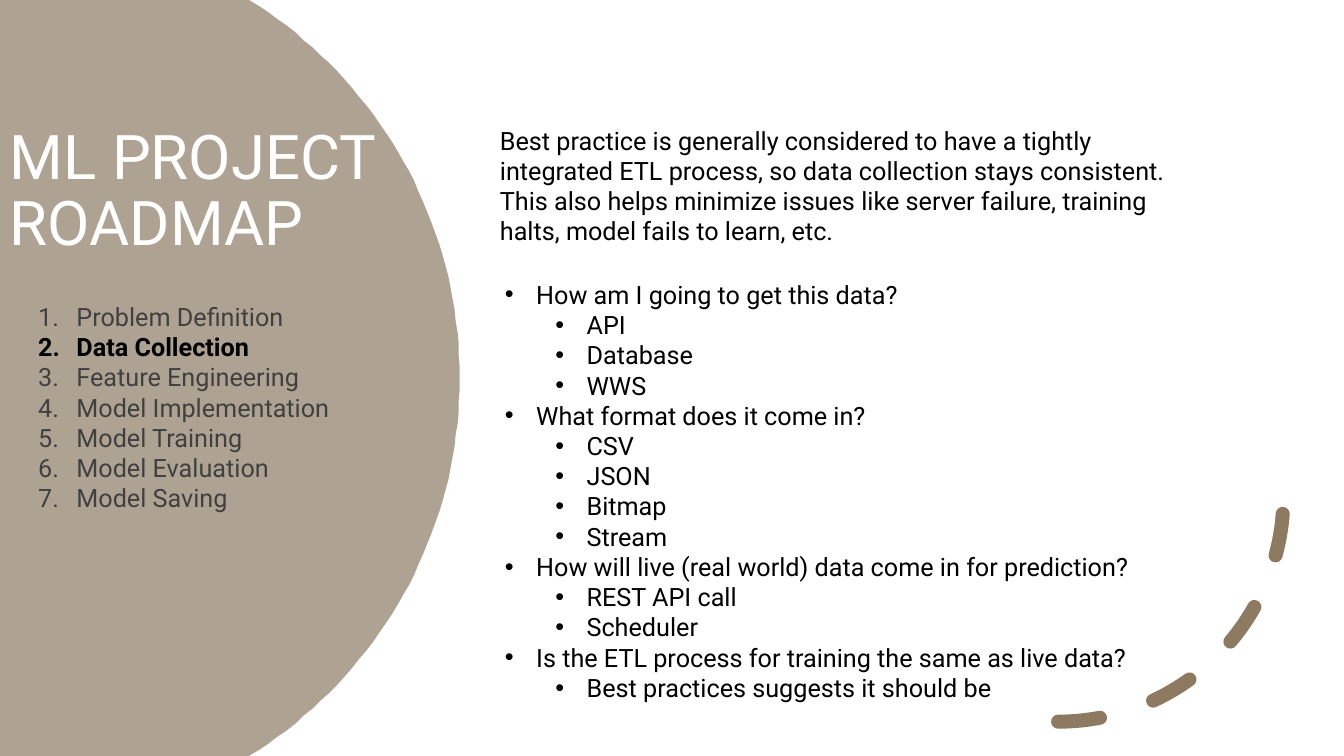
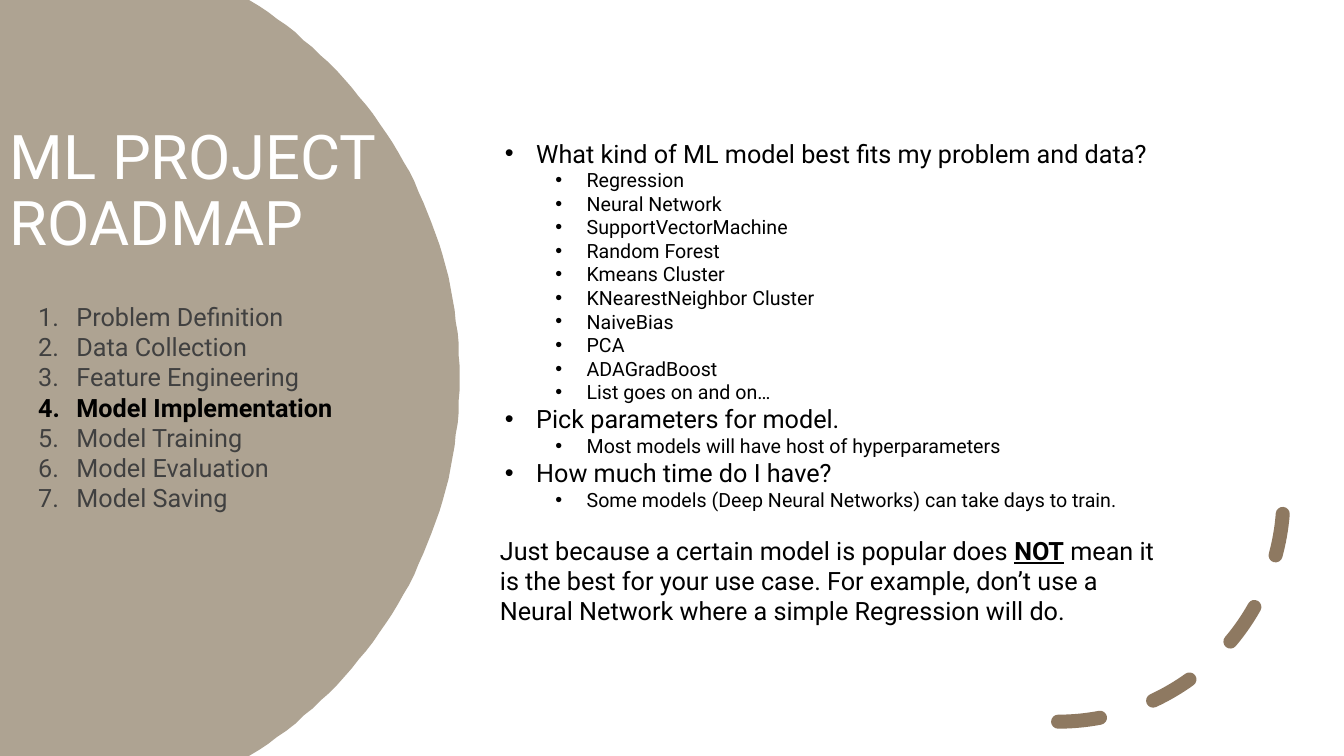
from math import asin, cos, sin

from lxml import etree
from pptx import Presentation
from pptx.dml.color import RGBColor
from pptx.enum.dml import MSO_LINE
from pptx.enum.shapes import MSO_SHAPE
from pptx.enum.text import MSO_ANCHOR
from pptx.oxml.ns import qn
from pptx.util import Pt

PX = 9144  # 100 px to the inch
FONT = "Roboto"
WHITE = RGBColor(0xFF, 0xFF, 0xFF)
BLACK = RGBColor(0, 0, 0)
GREY = RGBColor(0x40, 0x40, 0x40)
SAND = RGBColor(0xAE, 0xA3, 0x92)
BROWN = RGBColor(0x8E, 0x79, 0x61)
ARC, DASH = MSO_SHAPE.ARC, MSO_LINE.DASH
TOP, MIDDLE = MSO_ANCHOR.TOP, MSO_ANCHOR.MIDDLE

# Shared geometry
WIDTH, HEIGHT = 1333, 750
DISC_X, DISC_Y, DISC_RADIUS = 15, 375, 441
DISC_STEPS = 80
ARC_BOX = (826, 269, 447, 447)
TITLE_BOX = (0, 120, 432, 142)
STEPS_BOX = (28, 294, 357, 283)
STEP_INDENT = 38
BULLET_INDENT, LEVEL_INDENT = 31, 50

# Content
TITLE = "ML PROJECT ROADMAP"
STEPS = ["Problem Definition", "Data Collection", "Feature Engineering",
         "Model Implementation", "Model Training", "Model Evaluation",
         "Model Saving"]
PAGES = [
    {
        "step": "Data Collection",
        "questions_box": (491, 272, 668, 434),
        "answer_size": 18,
        "questions": [
            ("How am I going to get this data?", ["API", "Database", "WWS"]),
            ("What format does it come in?",
             ["CSV", "JSON", "Bitmap", "Stream"]),
            ("How will live (real world) data come in for prediction?",
             ["REST API call", "Scheduler"]),
            ("Is the ETL process for training the same as live data?",
             ["Best practices suggests it should be"]),
        ],
        "remark_box": (486, 119, 722, 131),
        "remark": [
            ("Best practice is generally considered to have a tightly "
             "integrated ETL process, so data collection stays consistent. "
             "This also helps minimize issues like server failure, training "
             "halts, model fails to learn, etc.", False),
        ],
    },
    {
        "step": "Model Implementation",
        "questions_box": (491, 132, 668, 407),
        "answer_size": 14,
        "questions": [
            ("What kind of ML model best fits my problem and data?",
             ["Regression", "Neural Network", "SupportVectorMachine",
              "Random Forest", "Kmeans Cluster", "KNearestNeighbor Cluster",
              "NaiveBias", "PCA", "ADAGradBoost", "List goes on and on…"]),
            ("Pick parameters for model.",
             ["Most models will have host of hyperparameters"]),
            ("How much time do I have?",
             ["Some models (Deep Neural Networks) can take days to train."]),
        ],
        "remark_box": (486, 526, 683, 101),
        "remark": [
            ("Just because a certain model is popular does ", False),
            ("NOT", True),
            (" mean it is the best for your use case. For example, don’t use "
             "a Neural Network where a simple Regression will do.", False),
        ],
    },
]


def add_frame(slide, box, anchor=TOP):
    frame = slide.shapes.add_textbox(*[v * PX for v in box]).text_frame
    frame.word_wrap = True
    frame.vertical_anchor = anchor
    return frame


def write(frame, text, size=18, color=BLACK, bold=False, underline=False,
          spacing=None, marker=None, margin=0, hang=0, level=0, inline=False):
    """Add text as a new paragraph, or to the last one when inline."""
    paragraph = frame.paragraphs[-1]
    if paragraph.runs and not inline:
        paragraph = frame.add_paragraph()
    if spacing:
        paragraph.line_spacing = spacing
    if marker:
        paragraph.level = level
        props = paragraph._p.get_or_add_pPr()
        props.set("marL", str(margin * PX))
        props.set("indent", str(-hang * PX))
        if marker == "•":
            etree.SubElement(props, qn("a:buFont"), typeface="Arial")
            etree.SubElement(props, qn("a:buChar"), char=marker)
        else:
            etree.SubElement(props, qn("a:buAutoNum"), type=marker)
    run = paragraph.add_run()
    run.text = text
    run.font.name = FONT
    run.font.size = Pt(size)
    run.font.color.rgb = color
    run.font.bold = bold
    run.font.underline = underline


deck = Presentation()
deck.slide_width, deck.slide_height = WIDTH * PX, HEIGHT * PX

# Disc outline, cut off by the slide's left, top and bottom edges
half_angle = asin(DISC_Y / DISC_RADIUS)
angles = [half_angle * (2 * i / DISC_STEPS - 1) for i in range(DISC_STEPS + 1)]
disc_points = [(DISC_X + DISC_RADIUS * cos(a), DISC_Y + DISC_RADIUS * sin(a))
               for a in angles]

for page in PAGES:
    slide = deck.slides.add_slide(deck.slide_layouts[6])

    # Sand-coloured disc
    outline = slide.shapes.build_freeform(0, 0, scale=PX)
    outline.add_line_segments(disc_points + [(0, HEIGHT)], close=True)
    disc = outline.convert_to_shape()
    disc.shadow.inherit = False
    disc.fill.solid()
    disc.fill.fore_color.rgb = SAND
    disc.line.fill.background()

    # Dashed arc, running from the bottom up to the right
    arc = slide.shapes.add_shape(ARC, *[v * PX for v in ARC_BOX])
    arc.shadow.inherit = False
    arc.fill.background()
    arc.line.color.rgb = BROWN
    arc.line.width = Pt(10)
    arc.line.dash_style = DASH
    arc.line._get_or_add_ln().set("cap", "rnd")
    arc._element.spPr.xfrm.set("flipV", "1")

    # Title
    write(add_frame(slide, TITLE_BOX, MIDDLE), TITLE, size=44, color=WHITE,
          spacing=0.9)

    # Roadmap steps, the current one highlighted
    steps = add_frame(slide, STEPS_BOX)
    for step in STEPS:
        current = step == page["step"]
        write(steps, step, color=BLACK if current else GREY, bold=current,
              marker="arabicPeriod", margin=STEP_INDENT, hang=STEP_INDENT)

    # Questions with their answers
    questions = add_frame(slide, page["questions_box"])
    for question, answers in page["questions"]:
        write(questions, question, marker="•", margin=BULLET_INDENT,
              hang=BULLET_INDENT)
        for answer in answers:
            write(questions, answer, size=page["answer_size"], marker="•",
                  margin=BULLET_INDENT + LEVEL_INDENT, hang=BULLET_INDENT,
                  level=1)

    # Remark
    remark = add_frame(slide, page["remark_box"])
    for text, stressed in page["remark"]:
        write(remark, text, bold=stressed, underline=stressed, inline=True)

deck.save("out.pptx")
